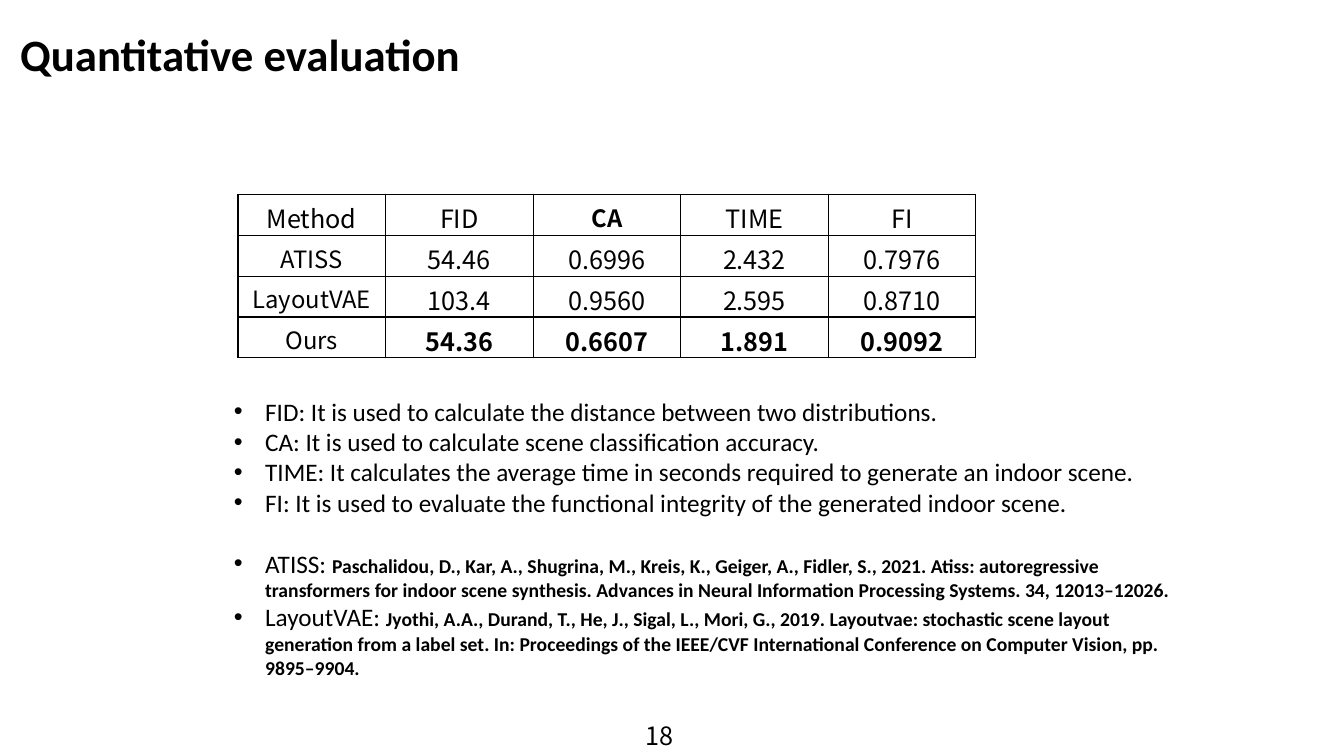
import dataclasses

import lxml.etree
import pptx
import pptx.dml.color
import pptx.enum.text
import pptx.oxml.ns
import pptx.util


@dataclasses.dataclass(frozen=True)
class Theme:
    """Hold the colours, fonts and type sizes of the slide."""
    ink: str = "000000"
    paper: str = "FFFFFF"
    text_font: str = "Calibri"
    data_font: str = "Noto Sans CJK SC"
    title_size: float = 32
    body_size: float = 18
    label_size: float = 17
    citation_size: float = 14
    border_width: float = 1


THEME = Theme()
SLIDE_SIZE = (13.33, 7.5)
TITLE_BOX = (0.1, 0.28, 11.5, 0.68)
TABLE_BOX = (2.36, 1.93, 7.32, 1.62)
NOTES_BOX = (2.22, 3.88, 9.8, 2.93)
NUMBER_BOX = (6.3, 7.1, 0.73, 0.4)
HANGING_INDENT = 0.31

RESULTS = [
    ("Method", "FID", "CA", "TIME", "FI"),
    ("ATISS", "54.46", "0.6996", "2.432", "0.7976"),
    ("LayoutVAE", "103.4", "0.9560", "2.595", "0.8710"),
    ("Ours", "54.36", "0.6607", "1.891", "0.9092"),
]
METRICS = [
    "FID: It is used to calculate the distance between two distributions.",
    "CA: It is used to calculate scene classification accuracy.",
    "TIME: It calculates the average time in seconds required to generate an indoor scene.",
    "FI: It is used to evaluate the functional integrity of the generated indoor scene.",
]
CITATIONS = [
    ("ATISS: ", "Paschalidou, D., Kar, A., Shugrina, M., Kreis, K., Geiger, A., Fidler, S., 2021. "
     "Atiss: autoregressive transformers for indoor scene synthesis. "
     "Advances in Neural Information Processing Systems. 34, 12013–12026."),
    ("LayoutVAE: ", "Jyothi, A.A., Durand, T., He, J., Sigal, L., Mori, G., 2019. "
     "Layoutvae: stochastic scene layout generation from a label set. "
     "In: Proceedings of the IEEE/CVF International Conference on Computer Vision, pp. 9895–9904."),
]


def inches(box):
    """Convert a box to lengths."""
    return [pptx.util.Inches(length) for length in box]


def place(shape, box):
    """Move and size a shape to a box."""
    shape.left, shape.top, shape.width, shape.height = inches(box)


def style(font, name, size, bold=False):
    """Format a font in the ink colour."""
    font.name = name
    font.size = pptx.util.Pt(size)
    font.bold = bold
    font.color.rgb = pptx.dml.color.RGBColor.from_string(THEME.ink)


def add_title(slide, box, text):
    """Fill the title placeholder."""
    title = slide.shapes.title
    place(title, box)
    frame = title.text_frame
    frame.text = text
    frame.auto_size = pptx.enum.text.MSO_AUTO_SIZE.NONE
    frame.vertical_anchor = pptx.enum.text.MSO_ANCHOR.TOP
    paragraph = frame.paragraphs[0]
    paragraph.alignment = pptx.enum.text.PP_ALIGN.LEFT
    paragraph.line_spacing = 0.9
    style(paragraph.font, THEME.text_font, THEME.title_size, True)


def add_borders(cell):
    """Draw a thin line on all four sides of a cell."""
    properties = cell._tc.get_or_add_tcPr()
    for side in ("a:lnL", "a:lnR", "a:lnT", "a:lnB"):
        line = lxml.etree.SubElement(properties, pptx.oxml.ns.qn(side))
        line.set("w", str(pptx.util.Pt(THEME.border_width)))
        fill = lxml.etree.SubElement(line, pptx.oxml.ns.qn("a:solidFill"))
        lxml.etree.SubElement(fill, pptx.oxml.ns.qn("a:srgbClr")).set("val", THEME.ink)


def add_results(slide, box, rows):
    """Add the table of methods and scores, with the last row's scores in bold."""
    table = slide.shapes.add_table(len(rows), len(rows[0]), *inches(box)).table
    table.first_row = table.horz_banding = False
    for row_index, row in enumerate(rows):
        for column_index, text in enumerate(row):
            cell = table.cell(row_index, column_index)
            add_borders(cell)
            cell.fill.solid()
            cell.fill.fore_color.rgb = pptx.dml.color.RGBColor.from_string(THEME.paper)
            cell.text = text
            paragraph = cell.text_frame.paragraphs[0]
            paragraph.alignment = pptx.enum.text.PP_ALIGN.CENTER
            method_label = row_index > 0 and column_index == 0
            key_metric = text == "CA"
            best_score = row_index == len(rows) - 1 and column_index > 0
            size = THEME.label_size if method_label or key_metric else THEME.body_size
            style(paragraph.font, THEME.data_font, size, key_metric or best_score)


def add_notes(slide, box, metrics, citations):
    """Fill the body placeholder with metric definitions, then citations."""
    body = slide.placeholders[1]
    place(body, box)
    frame = body.text_frame
    frame.auto_size = pptx.enum.text.MSO_AUTO_SIZE.NONE
    indent = pptx.util.Inches(HANGING_INDENT)
    entries = [(metric, "") for metric in metrics] + citations
    for index, (lead, citation) in enumerate(entries):
        paragraph = frame.add_paragraph() if index else frame.paragraphs[0]
        properties = paragraph._p.get_or_add_pPr()
        properties.set("marL", str(indent))
        properties.set("indent", str(-indent))
        starts_citations = index == len(metrics)
        paragraph.space_before = pptx.util.Pt(22 if starts_citations else 0)
        style(paragraph.font, THEME.text_font, THEME.body_size)
        paragraph.add_run().text = lead
        if citation:
            run = paragraph.add_run()
            run.text = citation
            style(run.font, THEME.text_font, THEME.citation_size, True)


def add_number(slide, box, text):
    """Add the page number."""
    frame = slide.shapes.add_textbox(*inches(box)).text_frame
    frame.word_wrap = True
    frame.text = text
    style(frame.paragraphs[0].font, THEME.data_font, THEME.body_size)


def main():
    """Build and save the presentation."""
    presentation = pptx.Presentation()
    presentation.slide_width, presentation.slide_height = inches(SLIDE_SIZE)
    slide = presentation.slides.add_slide(presentation.slide_layouts[1])
    add_title(slide, TITLE_BOX, "Quantitative evaluation")
    add_number(slide, NUMBER_BOX, "18")
    add_results(slide, TABLE_BOX, RESULTS)
    add_notes(slide, NOTES_BOX, METRICS, CITATIONS)
    presentation.save("out.pptx")


if __name__ == "__main__":
    main()
